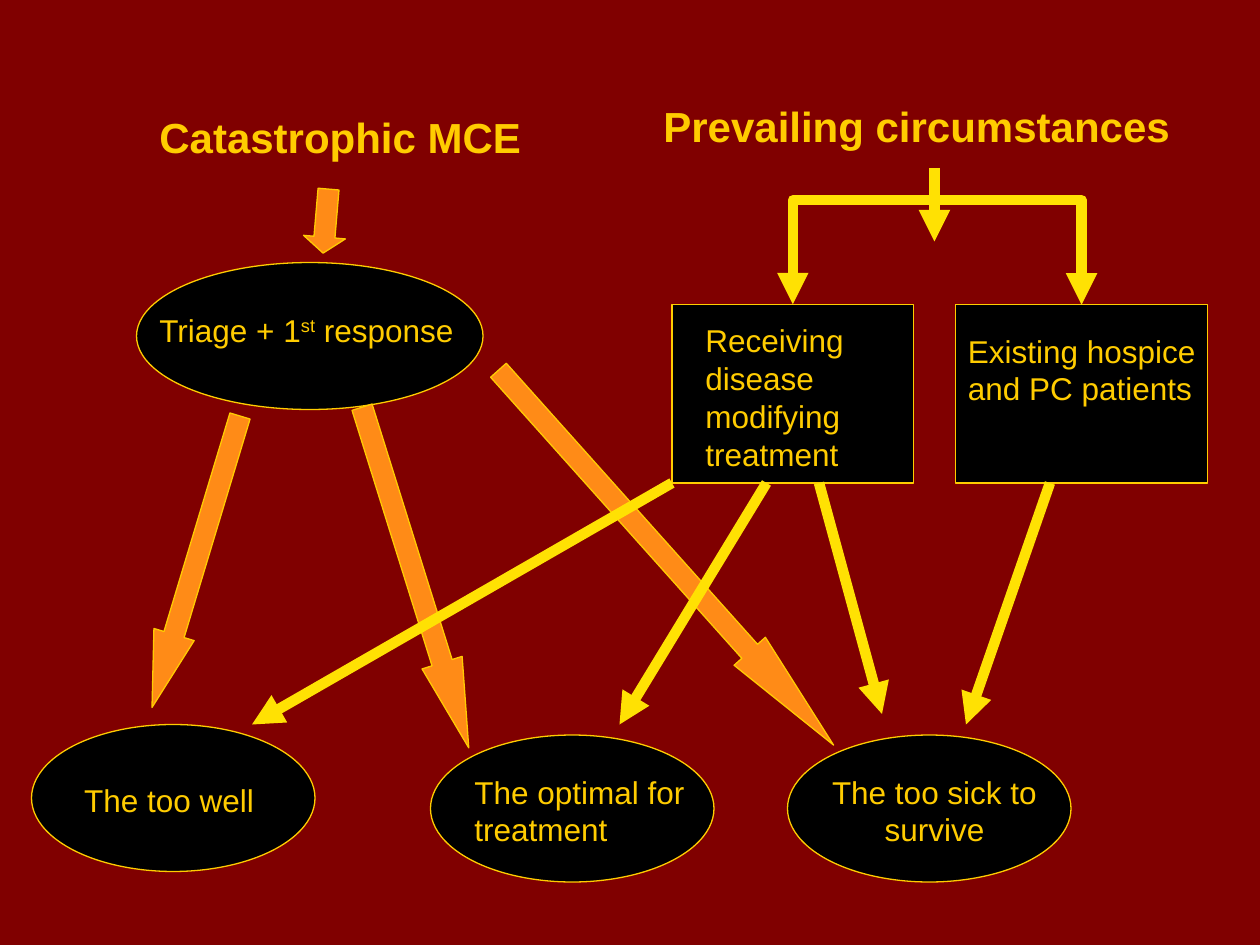
from lxml.etree import SubElement
from pptx import Presentation
from pptx.dml.color import RGBColor
from pptx.enum.shapes import MSO_CONNECTOR, MSO_SHAPE
from pptx.enum.text import MSO_AUTO_SIZE, PP_ALIGN
from pptx.oxml.ns import qn
from pptx.util import Pt

MAROON, BLACK, GOLD = "800000", "000000", "FFCC00"
ORANGE, YELLOW = "FF8B17", "FFE103"


def color(value):
    return RGBColor.from_string(value)


def add_label(page, left, top, width, height, parts, size=18, bold=False,
              align=PP_ALIGN.LEFT):
    """Place a line of text; every second part is superscript."""
    box = page.shapes.add_textbox(Pt(left), Pt(top), Pt(width), Pt(height))
    frame = box.text_frame
    frame.word_wrap = True
    frame.auto_size = MSO_AUTO_SIZE.SHAPE_TO_FIT_TEXT
    para = frame.paragraphs[0]
    para.alignment = align
    for index, part in enumerate(parts):
        span = para.add_run()
        span.text = part
        span.font.name = "Arial"
        span.font.size = Pt(size)
        span.font.bold = bold
        span.font.color.rgb = color(GOLD)
        if index % 2:
            span.font._element.set("baseline", "30000")


def add_solid(page, kind, left, top, width, height, fill=BLACK):
    shape = page.shapes.add_shape(kind, Pt(left), Pt(top), Pt(width), Pt(height))
    shape.shadow.inherit = False
    shape.fill.solid()
    shape.fill.fore_color.rgb = color(fill)
    shape.line.color.rgb = color(GOLD)
    shape.line.width = Pt(0.75)
    return shape


def add_block_arrow(page, left, top, height, rotation):
    """Draw a turned arrow whose head takes a quarter of its length."""
    width = 24
    arrow = add_solid(page, MSO_SHAPE.DOWN_ARROW, left, top, width, height, ORANGE)
    arrow.adjustments[0] = 0.5
    arrow.adjustments[1] = height / 4 / width
    arrow.rotation = rotation


def add_arrow(page, kind, x1, y1, x2, y2, ends=("tailEnd",)):
    arrow = page.shapes.add_connector(kind, Pt(x1), Pt(y1), Pt(x2), Pt(y2))
    arrow.line.color.rgb = color(YELLOW)
    arrow.line.width = Pt(6)
    for end in ends:
        SubElement(arrow.line._get_or_add_ln(), qn(f"a:{end}"), type="triangle")
    SubElement(arrow._element.spPr, qn("a:effectLst"))
    return arrow


def add_fork(page, center, top, span, rise):
    """Draw a bracket with two arrowheads, rising above its end points."""
    depth = 0.2
    fork = add_arrow(page, MSO_CONNECTOR.ELBOW,
                     center + depth / 2, top - span / 2,
                     center - depth / 2, top + span / 2, ("headEnd", "tailEnd"))
    properties = fork._element.spPr
    properties.find(qn("a:xfrm")).set("rot", str(270 * 60000))
    guides = properties.find(qn("a:prstGeom")).find(qn("a:avLst"))
    SubElement(guides, qn("a:gd"), name="adj1",
               fmla=f"val {round(-rise / depth * 100000)}")


def add_outcomes(page, left, top):
    # Ellipse offset, then label offset and size
    for x, y, label_x, label_y, width, height, text, align in [
        (432, 6, 444, 24, 144, 50, "The too sick to survive", PP_ALIGN.CENTER),
        (228, 6, 246, 24, 144, 50, "The optimal for treatment", PP_ALIGN.LEFT),
        (0, 0, 23, 29, 114, 29, "The too well", PP_ALIGN.LEFT),
    ]:
        add_solid(page, MSO_SHAPE.OVAL, left + x, top + y, 162, 84)
        add_label(page, left + label_x, top + label_y, width, height, [text],
                  align=align)


def add_catastrophe(page, left, top):
    # Heading and triage ellipse
    add_label(page, left + 6, top, 222, 36, ["Catastrophic MCE"], 24, True)
    add_solid(page, MSO_SHAPE.OVAL, left, top + 90, 198, 84)
    add_label(page, left + 6, top + 114, 204, 29, ["Triage + 1", "st", " response"])
    # Arrows to the outcomes, then the one from the heading
    for x, y, height, rotation in [
        (22, 174, 174, 16.8),
        (147.4, 168, 204, 342.6),
        (290.6, 115, 287.3, 318.2),
        (96.2, 48, 36.7, 4.9),
    ]:
        add_block_arrow(page, left + x, top + y, height, rotation)


def add_circumstances(page, left, top):
    # Heading and patient groups
    add_label(page, left, top, 312, 36, ["Prevailing circumstances"], 24, True)
    for x, width, label_x, label_y, label_width, label_height, text in [
        (174, 144, 174, 132, 162, 50, "Existing hospice and PC patients"),
        (12, 138, 24, 126, 108, 94, "Receiving disease modifying treatment"),
    ]:
        add_solid(page, MSO_SHAPE.RECTANGLE, left + x, top + 120, width, 102)
        add_label(page, left + label_x, top + label_y, label_width, label_height,
                  [text])
    # Arrow from the heading, then arrows to the outcomes
    for x1, y1, x2, y2 in [
        (162, 42, 162, 84),
        (228, 222, 180, 360),
        (96, 222, 132, 354),
        (66, 222, -18, 360),
        (12, 222, -228, 360),
    ]:
        add_arrow(page, MSO_CONNECTOR.STRAIGHT,
                  left + x1, top + y1, left + x2, top + y2)
    # Fork to both groups
    add_fork(page, left + 163.5, top + 120, 165, 60)


def main():
    deck = Presentation()
    deck.slide_width, deck.slide_height = Pt(720), Pt(540)
    page = deck.slides.add_slide(deck.slide_layouts[6])
    page.background.fill.solid()
    page.background.fill.fore_color.rgb = color(MAROON)
    add_outcomes(page, 18, 414)
    add_catastrophe(page, 78, 60)
    add_circumstances(page, 372, 54)
    deck.save("out.pptx")


if __name__ == "__main__":
    main()
